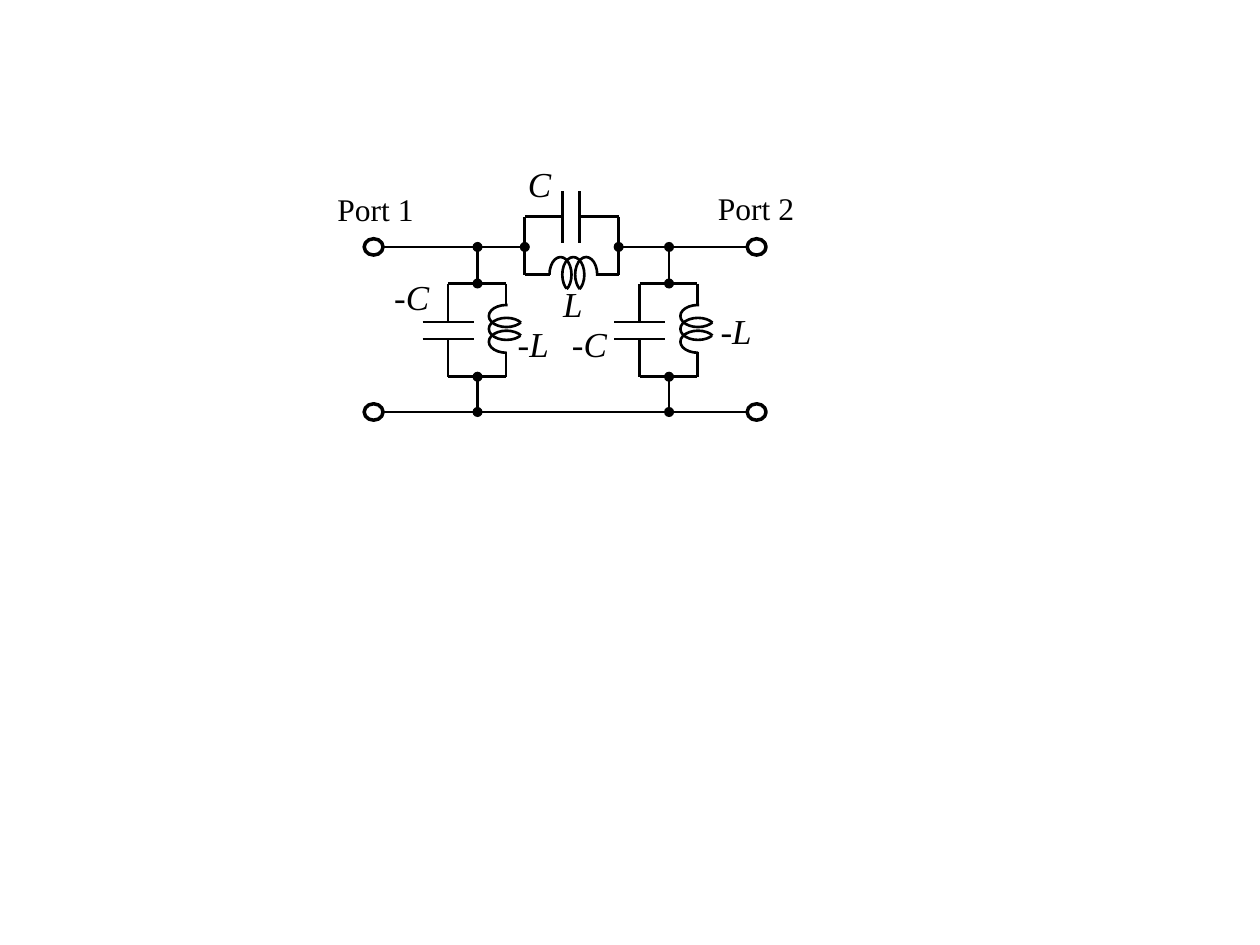
from lxml.etree import SubElement
from pptx import Presentation
from pptx.dml.color import RGBColor
from pptx.enum.shapes import MSO_CONNECTOR, MSO_SHAPE
from pptx.oxml.ns import qn
from pptx.util import Inches, Pt

BLACK = RGBColor(0, 0, 0)
FONT = "Times New Roman"
COLUMNS, ROWS = 100, 75
# Start and end of each inductor turn, in the units of the arc's adjustments
TURNS = [(108.02, 40.04), (69.66, 40.04), (68.32, 3.42)]


class Circuit:
    """Draws circuit elements at (column, row) positions of the slide grid."""

    def __init__(self, deck):
        self.slide = deck.slides.add_slide(deck.slide_layouts[6])
        self.column = deck.slide_width / COLUMNS
        self.row = deck.slide_height / ROWS

    def place(self, column, row):
        return int(column * self.column), int(row * self.row)

    def wire(self, *points):
        """Joins successive points with straight lines."""
        for start, end in zip(points, points[1:]):
            line = self.slide.shapes.add_connector(
                MSO_CONNECTOR.STRAIGHT, *self.place(*start), *self.place(*end))
            line.line.color.rgb = BLACK
            line.line.width = Pt(1.5)
            SubElement(line._element.spPr, qn("a:effectLst"))

    def centred(self, kind, column, row, width, height):
        shape = self.slide.shapes.add_shape(
            kind, *self.place(column - width / 2, row - height / 2),
            *self.place(width, height))
        shape.shadow.inherit = False
        return shape

    def outlined(self, kind, column, row, width, height, weight):
        shape = self.centred(kind, column, row, width, height)
        shape.fill.background()
        shape.line.color.rgb = BLACK
        shape.line.width = Pt(weight)
        return shape

    def node(self, column, row):
        dot = self.centred(MSO_SHAPE.OVAL, column, row, 0.8, 0.8)
        dot.fill.solid()
        dot.fill.fore_color.rgb = BLACK
        dot.line.fill.background()

    def terminal(self, column, row):
        self.outlined(MSO_SHAPE.OVAL, column, row, 1.5, 1.3, 2)

    def inductor(self, column, row, upright=False):
        for turn, (start, end) in enumerate(TURNS):
            offset = (turn - 1) * 1.02
            centre = (column, row - offset) if upright else (column + offset, row)
            arc = self.outlined(MSO_SHAPE.ARC, *centre, 1.75, 2.8, 1.5)
            arc.adjustments[0], arc.adjustments[1] = start, end
            arc.rotation = 270 if upright else 0

    def label(self, column, row, width, text, symbol="", size=20):
        """Writes upright text followed by an italic symbol."""
        box = self.slide.shapes.add_textbox(
            *self.place(column, row), *self.place(width, size * 0.22))
        box.text_frame.word_wrap = True
        para = box.text_frame.paragraphs[0]
        para.text = text
        if symbol:
            span = para.add_run()
            span.text = symbol
            span.font.italic = True
        for span in para.runs:
            span.font.name = FONT
            span.font.size = Pt(size)
            span.font.color.rgb = BLACK

    def shunt_branch(self, axis, top, bottom):
        """Parallel capacitor and inductor between the two rails."""
        left, right = axis - 2.33, axis + 2.25
        upper, lower = 22.5, 29.9
        plates = 25.55, 26.9
        self.wire((axis, top), (axis, upper))
        self.wire((left, plates[0]), (left, upper), (right, upper), (right, 24.25))
        self.wire((left, plates[1]), (left, lower), (right, lower), (right, 27.95))
        self.wire((axis, lower), (axis, bottom))
        for plate in plates:
            self.wire((left - 2.03, plate), (left + 2.03, plate))
        self.inductor(axis + 2.3, 26.1, upright=True)
        for row in (top, upper, lower, bottom):
            self.node(axis, row)

    def series_branch(self, left, right, rail):
        """Parallel capacitor and inductor in the upper rail."""
        upper, lower = 17.2, 21.8
        plates = 44.65, 46
        self.wire((plates[0], upper), (left, upper), (left, lower), (43.65, lower))
        self.wire((plates[1], upper), (right, upper), (right, lower), (47.3, lower))
        for plate in plates:
            self.wire((plate, 15.2), (plate, 19.3))
        self.inductor(45.5, lower)
        for column in (left, right):
            self.node(column, rail)


def main():
    deck = Presentation()
    deck.slide_width, deck.slide_height = Inches(10), Inches(7.5)
    circuit = Circuit(deck)

    top, bottom = 19.6, 32.7
    port_1, port_2 = 29.65, 60.05
    left, right = 41.65, 49.1
    circuit.wire((port_1 + 0.75, top), (left, top))
    circuit.wire((right, top), (port_2 - 0.75, top))
    circuit.wire((port_1 + 0.75, bottom), (port_2 - 0.75, bottom))
    for axis in (37.9, 53.1):
        circuit.shunt_branch(axis, top, bottom)
    circuit.series_branch(left, right, top)
    for column in (port_1, port_2):
        for row in (top, bottom):
            circuit.terminal(column, row)

    circuit.label(25.8, 14.6, 9.8, "Port 1", size=18)
    circuit.label(56, 14.5, 8.7, "Port 2", size=18)
    circuit.label(40.9, 12.4, 7.1, "", "C")
    circuit.label(43.7, 21.9, 5.9, "", "L")
    circuit.label(30.3, 21.4, 4.9, "-", "C")
    circuit.label(40.1, 25.1, 7.1, "-", "L")
    circuit.label(44.4, 25.1, 5.9, "-", "C")
    circuit.label(56.2, 24.1, 7.1, "-", "L")
    deck.save("out.pptx")


if __name__ == "__main__":
    main()
